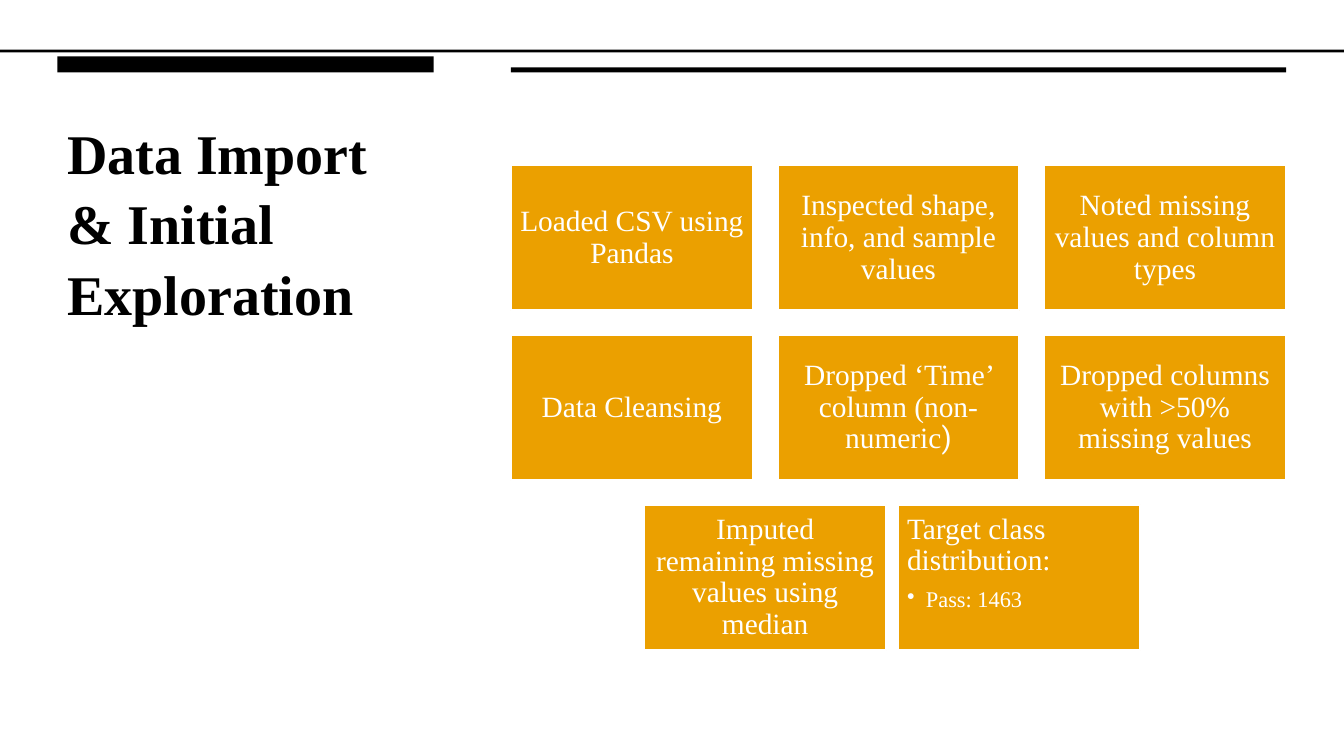
from dataclasses import dataclass

from lxml.etree import SubElement
from pptx import Presentation
from pptx.dml.color import RGBColor as Color
from pptx.enum.shapes import MSO_SHAPE as Kind
from pptx.enum.text import MSO_ANCHOR as Anchor, PP_ALIGN as Align
from pptx.oxml.ns import qn
from pptx.shapes.autoshape import Shape
from pptx.slide import Slide
from pptx.text.text import _Paragraph as Para, _Run as Run
from pptx.util import Pt


@dataclass(frozen=True)
class Theme:
    ink: Color = Color(0, 0, 0)
    paper: Color = Color(255, 255, 255)
    gold: Color = Color(0xEB, 0xA0, 0x00)
    serif: str = "Times New Roman"
    sans: str = "Roboto"
    head: float = 40
    body: float = 21
    small: float = 16


@dataclass(frozen=True)
class Area:
    left: float
    top: float
    width: float
    height: float


@dataclass(frozen=True)
class Card:
    text: str
    col: float
    row: int
    tail: str = ""
    bullet: str = ""


THEME = Theme()
WIDE, HIGH = 172.8, 103.7
STEP_X, STEP_Y = 190.4, 121.3
LEFT, TOP = 365, 118.1
PAD = 6.3
LAST = 1.453

BARS = [
    Area(41, 40.3, 268.8, 11.5),
    Area(365, 48.2, 553.7, 3.6),
    Area(0, 35.5, 960, 2),
]

CARDS = [
    Card("Loaded CSV using Pandas", 0, 0),
    Card("Inspected shape, info, and sample values", 1, 0),
    Card("Noted missing values and column types", 2, 0),
    Card("Data Cleansing", 0, 1),
    Card("Dropped ‘Time’ column (non-numeric", 1, 1, tail=")"),
    Card("Dropped columns with >50% missing values", 2, 1),
    Card("Imputed remaining missing values using median", 0.5, 2),
    Card("Target class distribution:", LAST, 2, bullet="Pass: 1463"),
]


def style(run: Run, size: float, color: Color, face: str = THEME.serif) -> None:
    run.font.name = face
    run.font.size = Pt(size)
    run.font.color.rgb = color


def add_box(slide: Slide, area: Area, fill: Color) -> Shape:
    box = slide.shapes.add_shape(
        Kind.RECTANGLE, Pt(area.left), Pt(area.top), Pt(area.width), Pt(area.height)
    )
    box.shadow.inherit = False
    box.fill.solid()
    box.fill.fore_color.rgb = fill
    box.line.fill.background()
    return box


def add_title(slide: Slide, text: str) -> None:
    box = slide.shapes.add_textbox(Pt(41), Pt(78.5), Pt(268.8), Pt(422))
    frame = box.text_frame
    frame.word_wrap = True
    frame.text = text
    para = frame.paragraphs[0]
    para.line_spacing = 1.05
    style(para.runs[0], THEME.head, THEME.ink)
    para.runs[0].font.bold = True


def add_dot(para: Para) -> None:
    props = para._p.get_or_add_pPr()
    props.set("marL", str(Pt(13.5)))
    props.set("indent", str(-Pt(13.5)))
    SubElement(props, qn("a:buChar")).set("char", "•")


def add_card(slide: Slide, card: Card) -> None:
    area = Area(LEFT + card.col * STEP_X, TOP + card.row * STEP_Y, WIDE, HIGH)
    box = add_box(slide, area, THEME.gold)
    box.line.color.rgb = THEME.paper
    box.line.width = Pt(1.5)
    frame = box.text_frame
    frame.word_wrap = True
    frame.margin_left = frame.margin_right = Pt(PAD)
    frame.margin_top = frame.margin_bottom = Pt(PAD)
    frame.vertical_anchor = Anchor.TOP if card.bullet else Anchor.MIDDLE
    frame.text = card.text
    para = frame.paragraphs[0]
    para.alignment = Align.LEFT if card.bullet else Align.CENTER
    para.line_spacing = 0.9
    style(para.runs[0], THEME.body, THEME.paper)
    if card.tail:
        run = para.add_run()
        run.text = card.tail
        style(run, THEME.body, THEME.paper, THEME.sans)
    if card.bullet:
        para.space_after = Pt(8)
        item = frame.add_paragraph()
        item.text = card.bullet
        item.level = 1
        item.alignment = Align.LEFT
        item.line_spacing = 0.9
        add_dot(item)
        style(item.runs[0], THEME.small, THEME.paper)


def main() -> None:
    deck = Presentation()
    deck.slide_width, deck.slide_height = Pt(960), Pt(540)
    slide = deck.slides.add_slide(deck.slide_layouts[6])
    for bar in BARS:
        add_box(slide, bar, THEME.ink)
    add_title(slide, "Data Import & Initial Exploration")
    for card in CARDS:
        add_card(slide, card)
    deck.save("out.pptx")


if __name__ == "__main__":
    main()
